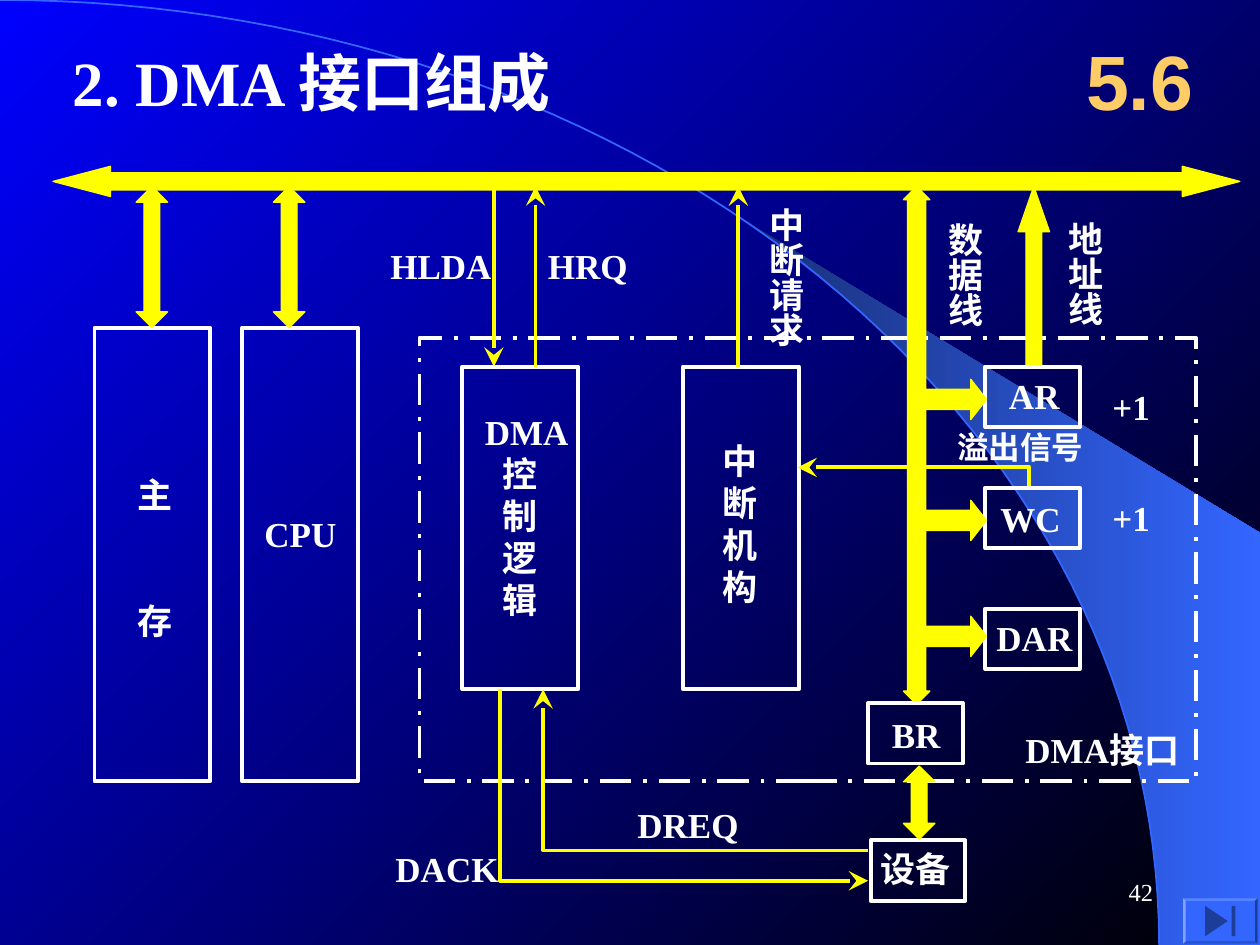
import math
from dataclasses import dataclass
from typing import Any

from lxml import etree
from pptx import Presentation
from pptx.dml.color import RGBColor
from pptx.enum.dml import MSO_LINE
from pptx.enum.shapes import MSO_CONNECTOR, MSO_SHAPE
from pptx.enum.text import MSO_ANCHOR, MSO_AUTO_SIZE, PP_ALIGN
from pptx.oxml.ns import qn
from pptx.util import Inches, Pt

COLORS = {"blue": "0000FF", "black": "000000", "navy": "182F76", "sky": "3366FF",
          "white": "FFFFFF", "yellow": "FFFF00", "gold": "FFCC66"}
SERIF, SANS = "Times New Roman", "Arial"
RECTANGLE = MSO_SHAPE.RECTANGLE
UP_DOWN, LEFT_RIGHT = MSO_SHAPE.UP_DOWN_ARROW, MSO_SHAPE.LEFT_RIGHT_ARROW
RIGHT, UP = MSO_SHAPE.RIGHT_ARROW, MSO_SHAPE.UP_ARROW
END_BUTTON, BEVEL = MSO_SHAPE.ACTION_BUTTON_END, MSO_SHAPE.BEVEL
STRAIGHT, DASH_DOT = MSO_CONNECTOR.STRAIGHT, MSO_LINE.LONG_DASH_DOT
CENTER, ALIGN_RIGHT, MIDDLE = PP_ALIGN.CENTER, PP_ALIGN.RIGHT, MSO_ANCHOR.MIDDLE
FIT_SHAPE = MSO_AUTO_SIZE.SHAPE_TO_FIT_TEXT

CELL = Inches(0.1)  # the slide is a grid of 100 columns by 75 rows
COLUMNS, ROWS = 100, 75
REGISTER = (7.5, 4.8)
BLOCK = (9.2, 25.6)


def cells(*counts):
    return [round(count * CELL) for count in counts]


def rgb(name):
    return RGBColor.from_string(COLORS[name])


def set_gradient(fill, first, last, angle):
    fill.gradient()
    fill.gradient_angle = angle
    for stop, name in zip(fill.gradient_stops, (first, last)):
        stop.color.rgb = rgb(name)


def set_line(line, color, width):
    line.color.rgb = rgb(color)
    line.width = Pt(width)


@dataclass
class Region:
    """A box on the slide; its parts are placed in cells from its corner."""
    slide: Any
    left: float
    top: float
    width: float
    height: float

    def place(self, column, row):
        return cells(self.left + column, self.top + row)

    def preset(self, kind, column, row, width, height):
        shape = self.slide.shapes.add_shape(
            kind, *self.place(column, row), *cells(width, height))
        shape.shadow.inherit = False
        return shape

    def frame(self, column, row, width, height, dash=None):
        shape = self.preset(RECTANGLE, column, row, width, height)
        shape.fill.background()
        set_line(shape.line, "white", 2.25)
        if dash:
            shape.line.dash_style = dash

    def block_arrow(self, kind, column, row, width, height, shaft, head):
        shape = self.preset(kind, column, row, width, height)
        # The up-down arrow takes its head length first
        values = (head, shaft) if kind == UP_DOWN else (shaft, head)
        shape.adjustments[0], shape.adjustments[1] = values
        shape.fill.solid()
        shape.fill.fore_color.rgb = rgb("yellow")
        set_line(shape.line, "yellow", 0.75)

    def outline(self, points, close=False):
        start, *others = [self.place(*point) for point in points]
        builder = self.slide.shapes.build_freeform(*start)
        builder.add_line_segments(others, close=close)
        shape = builder.convert_to_shape()
        shape.shadow.inherit = False
        return shape

    def signal(self, *points):
        """A thin line with an arrowhead at its last point."""
        if len(points) == 2:
            ends = self.place(*points[0]) + self.place(*points[1])
            shape = self.slide.shapes.add_connector(STRAIGHT, *ends)
            etree.SubElement(shape._element.spPr, qn("a:effectLst"))
        else:
            shape = self.outline(points)
            shape.fill.background()
        set_line(shape.line, "yellow", 2.25)
        etree.SubElement(shape.line._get_or_add_ln(), qn("a:tailEnd"),
                         type="stealth", w="lg", len="lg")

    def label(self, text, column, row, width, height, size=20, font=SERIF,
              color="white", bold=True, wrap=False, vertical=False,
              align=None, anchor=None):
        box = self.slide.shapes.add_textbox(
            *self.place(column, row), *cells(width, height))
        frame = box.text_frame
        frame.text = text
        frame.word_wrap = wrap
        if anchor is None:
            frame.auto_size = FIT_SHAPE
        else:
            frame.vertical_anchor = anchor
        if vertical:
            frame.margin_left = frame.margin_right = Inches(0.05)
            frame.margin_top = frame.margin_bottom = Inches(0.05)
            frame._txBody.bodyPr.set("vert", "eaVert")
        elif not wrap:
            frame.margin_right = 0  # room for the whole word on one line
        for paragraph in frame.paragraphs:
            paragraph.alignment = align
            for run in paragraph.runs:
                run.font.size, run.font.name, run.font.bold = Pt(size), font, bold
                run.font.color.rgb = rgb(color)
        return frame.paragraphs


def indent(paragraphs):
    for paragraph in paragraphs:
        properties = paragraph._p.get_or_add_pPr()
        properties.set("marL", str(Pt(10)))
        properties.set("indent", "0")


def draw_backdrop(region):
    set_gradient(region.slide.background.fill, "blue", "black", 315)
    radius_x, radius_y = 0.92 * region.width, region.height

    def arc(start, steps):
        angles = [start + (math.pi / 2 - start) * i / steps for i in range(steps + 1)]
        return [(radius_x * math.sin(a), radius_y * (1 - math.cos(a))) for a in angles]

    # Light beam between the arc and the right edge
    corners = [(region.width, region.height), (region.width, 42.3)]
    beam = region.outline(arc(math.asin(0.64), 24) + corners, close=True)
    set_gradient(beam.fill, "navy", "sky", 0)
    beam.line.fill.background()
    # Thin arc across the slide
    curve = region.outline(arc(0, 60))
    curve.fill.background()
    set_line(curve.line, "sky", 1)


def draw_header(region):
    region.label("2. DMA 接口组成", 0, 1.3, 45.2, 7, size=36, wrap=True)
    region.label("5.6", 79.4, 0, 12.5, 9.2, size=44, font=SANS, color="gold",
                 wrap=True, align=CENTER, anchor=MIDDLE)


def draw_host(region):
    # Main memory and processor, each joined to the bus
    for column, arrow_column in ((0, 3.3), (11.7, 14.2)):
        region.frame(column, 11.2, 9.2, 36)
        region.block_arrow(UP_DOWN, arrow_column, 0, 2.5, 11.2, 0.5, 0.89)
    memory = region.label("主\n存", 2.4, 22.3, 4.8, 14.4)
    memory[1].space_before = Pt(48)
    region.label("CPU", 12.5, 25.4, 7.7, 4.4)


def draw_interface(region):
    region.frame(0, 0, region.width, region.height, DASH_DOT)
    region.label("DMA接口", 47.1, 30.5, 14.9, 4.4)
    # Control logic and interrupt unit
    for column in (3.4, 20.9):
        region.frame(column, 2.3, *BLOCK)
    indent(region.label("DMA\n控\n制\n逻\n辑", 4.2, 5.3, 8.6, 17.7)[1:])
    indent(region.label("中\n断\n机\n构", 21.7, 7.6, 6, 14.4))
    # Signals to and from the bus
    region.signal((5.9, -12), (5.9, 2.3))
    for column in (9.2, 25.3):
        region.signal((column, 2.3), (column, -12))
    region.label("HLDA", -3.3, -7.9, 10, 4.4)
    region.label("HRQ", 9.2, -7.9, 8.3, 4.4)
    region.label("中断请求", 25.9, -11.3, 5.3, 12.2, vertical=True)
    # Overflow from the word counter
    region.signal((48.4, 11.9), (48.4, 10.3), (30, 10.3))
    region.label("溢出信号", 41.7, 6.7, 12, 4, size=18)


def draw_registers(region):
    # Data and address lines
    region.block_arrow(UP_DOWN, 0, 0, 2.1, 41.1, 0.69, 1.49)
    region.block_arrow(UP, 9.1, 0, 2.5, 14.4, 0.5, 1.44)
    region.label("数据线", 1.7, 1.9, 5.3, 9.4, vertical=True)
    region.label("地址线", 11.3, 1.8, 5.3, 9.4, vertical=True)
    # Register name, text column, text row, text width, arrow row
    registers = (("AR", 7.4, 14.4, 6, 15.3), ("WC", 6.7, 24.2, 6.8, 24.9),
                 ("DAR", 6.4, 33.6, 8, 34.1))
    for index, (name, column, row, width, arrow_row) in enumerate(registers):
        region.frame(6.5, 14.3 + 9.6 * index, *REGISTER)
        region.label(name, column, row, width, 4.4)
        region.block_arrow(RIGHT, 1.6, arrow_row, 5, 3.2, 0.5, 0.39)
    for row in (15.3, 24.1):
        region.label("+1", 15.6, row, 5, 4.4)
    region.frame(-2.8, 41, *REGISTER)
    region.label("BR", -1.9, 41.3, 5.8, 4.4)


def draw_device(region):
    region.frame(38.7, 12, *REGISTER)
    region.label("设备", 38.5, 12.1, 7.5, 4.4)
    region.block_arrow(UP_DOWN, 41.3, 6.1, 2.5, 5.8, 0.5, 0.46)
    # Request and acknowledge
    region.signal((38.5, 12.8), (12.7, 12.8), (12.7, 0))
    region.signal((9.3, 0), (9.3, 15.2), (38.5, 15.2))
    region.label("DREQ", 19.2, 8.6, 10, 4.4)
    region.label("DACK", 0, 12.1, 10.2, 4.4)


def draw_footer(region):
    region.label("42", 0, 0, 20.8, 5, size=14, bold=False, wrap=True,
                 align=ALIGN_RIGHT, anchor=MIDDLE)
    # Button with a raised edge
    edge = region.preset(BEVEL, 22.2, 3, 5.9, 3.6)
    edge.adjustments[0] = 0.06
    button = region.preset(END_BUTTON, 22.4, 3.2, 5.5, 3.2)
    for shape in (edge, button):
        shape.fill.solid()
        shape.fill.fore_color.rgb = rgb("sky")
        shape.line.fill.background()


def main():
    presentation = Presentation()
    presentation.slide_width, presentation.slide_height = cells(COLUMNS, ROWS)
    slide = presentation.slides.add_slide(presentation.slide_layouts[6])
    draw_backdrop(Region(slide, 0, 0, COLUMNS, ROWS))
    draw_header(Region(slide, 4.8, 1.7, 91.9, 9.2))
    # System bus
    bus = Region(slide, 4.2, 13.2, 94.2, 2.4)
    bus.block_arrow(LEFT_RIGHT, 0, 0, bus.width, bus.height, 0.57, 1.9)
    draw_host(Region(slide, 7.5, 14.8, 20.9, 47.2))
    draw_interface(Region(slide, 33.3, 26.8, 61.6, 35.2))
    draw_registers(Region(slide, 71.7, 14.8, 20.6, 45.8))
    draw_device(Region(slide, 30.4, 54.7, 46.2, 16.8))
    draw_footer(Region(slide, 71.7, 68.3, 28.1, 6.6))
    presentation.save("out.pptx")


if __name__ == "__main__":
    main()
